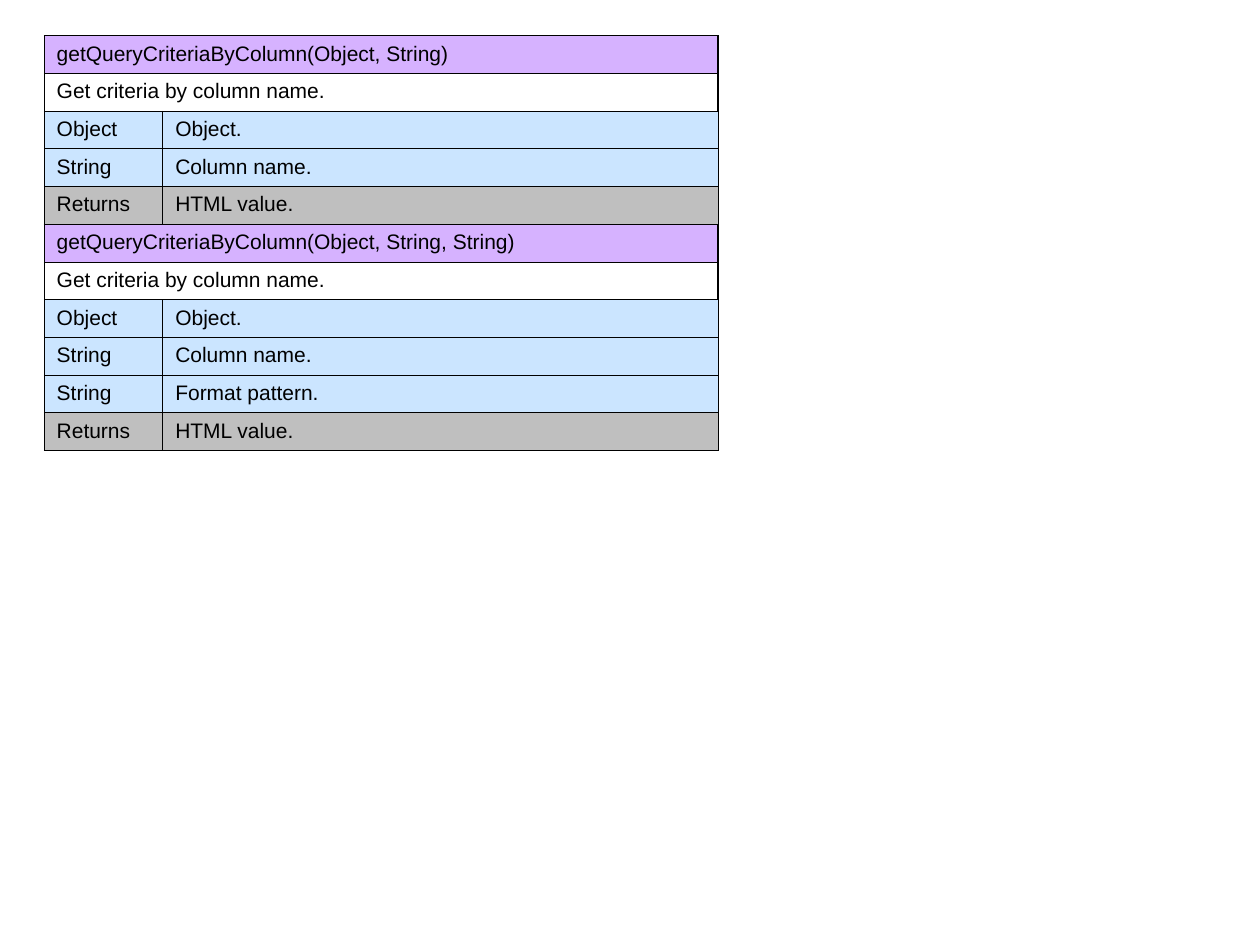
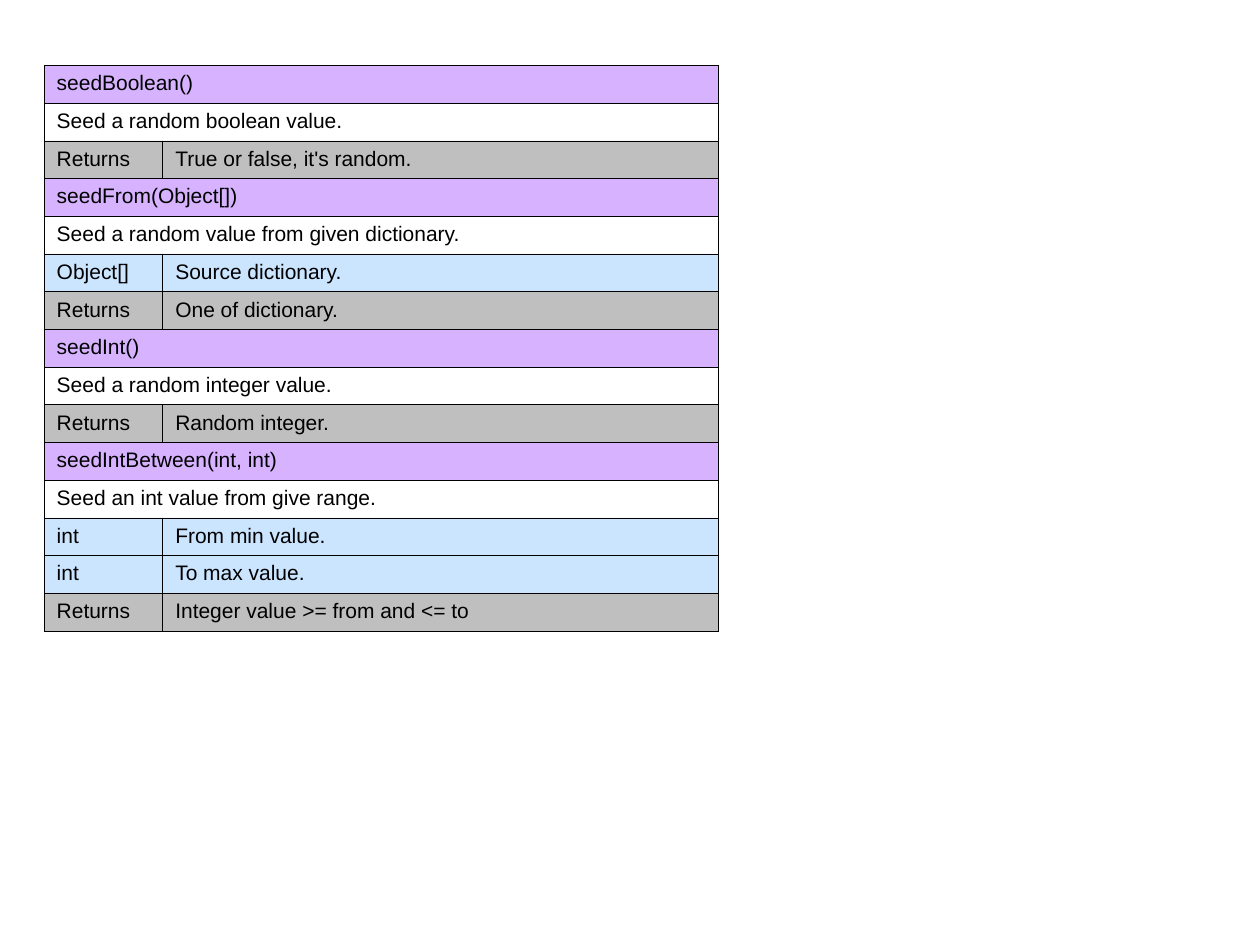
"""Builds two slides of method reference tables."""
from lxml import etree
from pptx import Presentation
from pptx.dml.color import RGBColor
from pptx.enum.text import MSO_ANCHOR
from pptx.oxml.ns import qn
from pptx.util import Cm, Pt

TOP = MSO_ANCHOR.TOP
FONT, FONT_SIZE = "Arial", Pt(12)
INK, SIGNATURE, PARAMETER, RETURNS = "000000", "AF67FF", "99CCFF", "808080"
FILL_ALPHA = 50000
THIN, THICK = Pt(0.45), Pt(1.08)

LEFT = 0.89
COLUMNS = (2.39, 11.2)
ROW_HEIGHT = 0.76

CRITERIA_TOP = 0.72
CRITERIA_METHODS = [
    ("getQueryCriteriaByColumn(Object, String)", "Get criteria by column name.",
     [("Object", "Object."), ("String", "Column name.")], "HTML value."),
    ("getQueryCriteriaByColumn(Object, String, String)", "Get criteria by column name.",
     [("Object", "Object."), ("String", "Column name."), ("String", "Format pattern.")],
     "HTML value."),
]

SEED_TOP = 1.32
SEED_METHODS = [
    ("seedBoolean()", "Seed a random boolean value.", [], "True or false, it's random."),
    ("seedFrom(Object[])", "Seed a random value from given dictionary.",
     [("Object[]", "Source dictionary.")], "One of dictionary."),
    ("seedInt()", "Seed a random integer value.", [], "Random integer."),
    ("seedIntBetween(int, int)", "Seed an int value from give range.",
     [("int", "From min value."), ("int", "To max value.")],
     "Integer value >= from and <= to"),
]


def rgb(value):
    return RGBColor.from_string(value)


def method_rows(method):
    signature, summary, parameters, result = method
    return [((signature,), SIGNATURE), ((summary,), None),
            *((parameter, PARAMETER) for parameter in parameters),
            (("Returns", result), RETURNS)]


def set_borders(cell, right_width):
    properties = cell._tc.get_or_add_tcPr()
    for side, width in (("L", THIN), ("R", right_width), ("T", THIN), ("B", THIN)):
        line = etree.SubElement(properties, qn(f"a:ln{side}"), w=str(int(width)))
        solid = etree.SubElement(line, qn("a:solidFill"))
        etree.SubElement(solid, qn("a:srgbClr"), val=INK)


def set_fill(cell, color):
    if color is None:
        cell.fill.background()
        return
    cell.fill.solid()
    cell.fill.fore_color.rgb = rgb(color)
    shade = cell._tc.tcPr.find(qn("a:solidFill")).find(qn("a:srgbClr"))
    etree.SubElement(shade, qn("a:alpha"), val=str(FILL_ALPHA))


def write(cell, text):
    cell.text = text
    cell.vertical_anchor = TOP
    font = cell.text_frame.paragraphs[0].font
    font.name, font.size = FONT, FONT_SIZE
    font.color.rgb = rgb(INK)


def add_methods(slide, top, methods, span_edge=THIN):
    rows = [row for method in methods for row in method_rows(method)]
    height = len(rows) * ROW_HEIGHT
    table = slide.shapes.add_table(len(rows), len(COLUMNS), Cm(LEFT), Cm(top),
                                   Cm(sum(COLUMNS)), Cm(height)).table
    table.first_row = table.horz_banding = False
    for column, width in zip(table.columns, COLUMNS):
        column.width = Cm(width)
    for index, (texts, color) in enumerate(rows):
        table.rows[index].height = Cm(ROW_HEIGHT)
        spans = len(texts) == 1
        cells = [table.cell(index, position) for position in range(len(COLUMNS))]
        for cell in cells:
            set_borders(cell, span_edge if spans else THIN)
            set_fill(cell, color)
        if spans:
            cells[0].merge(cells[-1])
        for cell, text in zip(cells, texts):
            write(cell, text)
    return top + height


def main():
    deck = Presentation()
    deck.slide_width, deck.slide_height = Cm(25.4), Cm(19.05)
    blank = deck.slide_layouts[6]

    criteria = deck.slides.add_slide(blank)
    top = CRITERIA_TOP
    for method in CRITERIA_METHODS:
        top = add_methods(criteria, top, [method], THICK)

    add_methods(deck.slides.add_slide(blank), SEED_TOP, SEED_METHODS)
    deck.save("out.pptx")


if __name__ == "__main__":
    main()
